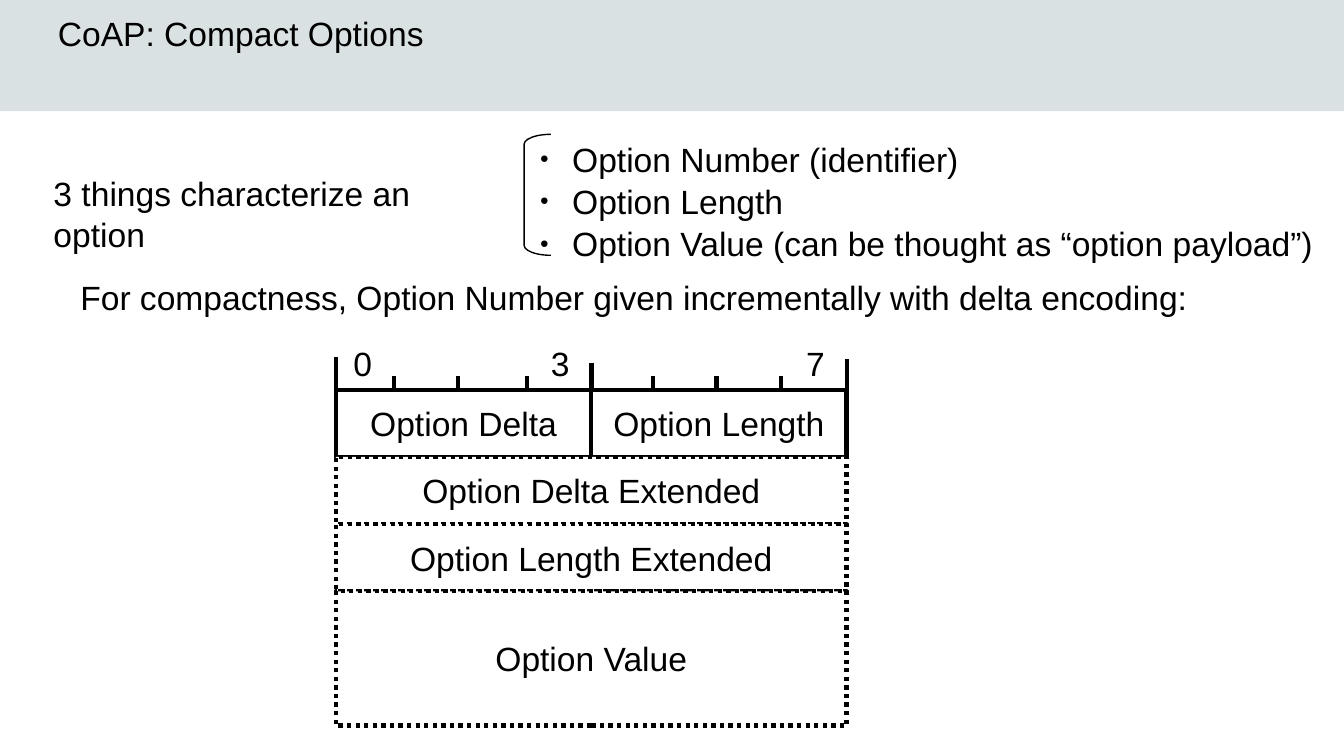
from dataclasses import dataclass

import lxml.etree
import pptx
import pptx.dml.color
import pptx.enum.dml
import pptx.enum.shapes
import pptx.enum.text
import pptx.oxml.ns
import pptx.util

Pt = pptx.util.Pt
RGB = pptx.dml.color.RGBColor
Shape = pptx.enum.shapes.MSO_SHAPE
Align = pptx.enum.text.PP_ALIGN
Anchor = pptx.enum.text.MSO_ANCHOR
qn = pptx.oxml.ns.qn


@dataclass(frozen=True)
class Theme:
    font: str = "Arial"
    size: float = 18
    ink: RGB = RGB(0, 0, 0)
    paper: RGB = RGB(255, 255, 255)
    band: RGB = RGB(0xD9, 0xE1, 0xE2)
    stroke: float = 2.3


@dataclass(frozen=True)
class Label:
    text: str
    left: float
    top: float
    width: float
    height: float
    wrap: bool = True


@dataclass(frozen=True)
class Field:
    text: str
    left: float
    top: float
    width: float
    height: float
    dotted: bool = False


@dataclass(frozen=True)
class Tick:
    x: float
    height: float


THEME = Theme()
WIDTH, HEIGHT = 720, 405
LEFT, TOP = 180, 208.8
HALF, ROW = 136.8, 36
FULL = 2 * HALF
MINOR = 7.2

LABELS = [
    Label("3 things characterize an option", 21.6, 89.3, 259.2, 27.4, False),
    Label("For compactness, Option Number given incrementally with delta encoding:",
          36, 144.7, 640.8, 47.5),
    Label("0", 182.2, 180, 28.8, 27.4),
    Label("3", 288, 180, 28.8, 27.4),
    Label("7", 424.8, 180, 28.8, 27.4),
]
TRAITS = Label("Option Number (identifier)\nOption Length\n"
               "Option Value (can be thought as “option payload”)",
               282.2, 70.6, 432, 87.8)
FIELDS = [
    Field("Option Delta", LEFT, TOP, HALF, ROW),
    Field("Option Length", LEFT + HALF, TOP, HALF, ROW),
    Field("Option Delta Extended", LEFT, TOP + ROW, FULL, ROW, True),
    Field("Option Length Extended", LEFT, TOP + 2 * ROW, FULL, ROW, True),
    Field("Option Value", LEFT, TOP + 3 * ROW, FULL, 2 * ROW, True),
]
TICKS = [Tick(LEFT, 17.3), Tick(LEFT + HALF, 14.4), Tick(LEFT + FULL, 16.6)]
TICKS += [Tick(x, MINOR) for x in (211, 245.5, 282.2, 349.9, 383.8, 418.3)]


def style(frame) -> None:
    """Give every run the theme's font, size and colour."""
    for para in frame.paragraphs:
        for run in para.runs:
            run.font.name = THEME.font
            run.font.size = Pt(THEME.size)
            run.font.bold = False
            run.font.color.rgb = THEME.ink


def inset(frame, x: float, y: float) -> None:
    frame.margin_left = frame.margin_right = Pt(x)
    frame.margin_top = frame.margin_bottom = Pt(y)


def place(shape, left: float, top: float, width: float, height: float) -> None:
    shape.left, shape.top = Pt(left), Pt(top)
    shape.width, shape.height = Pt(width), Pt(height)


def draw_label(slide, label: Label):
    box = slide.shapes.add_textbox(Pt(label.left), Pt(label.top),
                                   Pt(label.width), Pt(label.height))
    frame = box.text_frame
    frame.word_wrap = label.wrap
    inset(frame, 7.2, 3.6)
    frame.text = label.text
    style(frame)
    return frame


def add_dot(para) -> None:
    """Put a small round bullet and a hanging indent on a paragraph."""
    props = para._p.get_or_add_pPr()
    props.set("marL", str(Pt(17.28)))
    props.set("indent", str(-Pt(17.28)))
    tint = lxml.etree.SubElement(props, qn("a:buClr"))
    lxml.etree.SubElement(tint, qn("a:srgbClr"), val=str(THEME.ink))
    lxml.etree.SubElement(props, qn("a:buSzPct"), val="45000")
    lxml.etree.SubElement(props, qn("a:buFont"), typeface=THEME.font)
    lxml.etree.SubElement(props, qn("a:buChar"), char="●")


def draw_list(slide, label: Label) -> None:
    frame = draw_label(slide, label)
    for para in frame.paragraphs:
        add_dot(para)
        para.space_after = Pt(1)


def draw_field(slide, field: Field) -> None:
    box = slide.shapes.add_shape(Shape.RECTANGLE, Pt(field.left), Pt(field.top),
                                 Pt(field.width), Pt(field.height))
    box.shadow.inherit = False
    box.fill.solid()
    box.fill.fore_color.rgb = THEME.paper
    box.line.color.rgb = THEME.ink
    box.line.width = Pt(THEME.stroke)
    if field.dotted:
        box.line.dash_style = pptx.enum.dml.MSO_LINE.ROUND_DOT
    frame = box.text_frame
    frame.word_wrap = False
    frame.vertical_anchor = Anchor.MIDDLE
    inset(frame, 7.9, 4.3)
    frame.text = field.text
    frame.paragraphs[0].alignment = Align.CENTER
    style(frame)


def draw_tick(slide, tick: Tick) -> None:
    line = slide.shapes.add_connector(pptx.enum.shapes.MSO_CONNECTOR.STRAIGHT,
                                      Pt(tick.x), Pt(TOP),
                                      Pt(tick.x), Pt(TOP - tick.height))
    line.line.color.rgb = THEME.ink
    line.line.width = Pt(THEME.stroke)
    lxml.etree.SubElement(line._element.spPr, qn("a:effectLst"))


def draw_head(slide) -> None:
    band = slide.shapes.add_shape(Shape.RECTANGLE, 0, 0, Pt(WIDTH), Pt(59.5))
    band.shadow.inherit = False
    band.fill.solid()
    band.fill.fore_color.rgb = THEME.band
    band.line.fill.background()
    title = slide.shapes.title
    title._element.addprevious(band._element)
    place(title, 31, 0, 569.5, 35.3)
    frame = title.text_frame
    frame.text = "CoAP: Compact Options"
    frame.auto_size = pptx.enum.text.MSO_AUTO_SIZE.NONE
    frame.vertical_anchor = Anchor.MIDDLE
    inset(frame, 0, 0)
    frame.paragraphs[0].alignment = Align.LEFT
    style(frame)


def draw_brace(slide) -> None:
    brace = slide.shapes.add_shape(Shape.LEFT_BRACKET, Pt(280.8), Pt(72),
                                   Pt(14.4), Pt(64.8))
    brace.adjustments[0] = 0.37
    brace.shadow.inherit = False
    brace.fill.background()
    brace.line.color.rgb = THEME.ink
    brace.line.width = Pt(0)


def main() -> None:
    deck = pptx.Presentation()
    deck.slide_width, deck.slide_height = Pt(WIDTH), Pt(HEIGHT)
    slide = deck.slides.add_slide(deck.slide_layouts[5])
    draw_head(slide)
    draw_list(slide, TRAITS)
    draw_brace(slide)
    for field in FIELDS:
        draw_field(slide, field)
    for tick in TICKS:
        draw_tick(slide, tick)
    for label in LABELS:
        draw_label(slide, label)
    deck.save("out.pptx")


if __name__ == "__main__":
    main()
